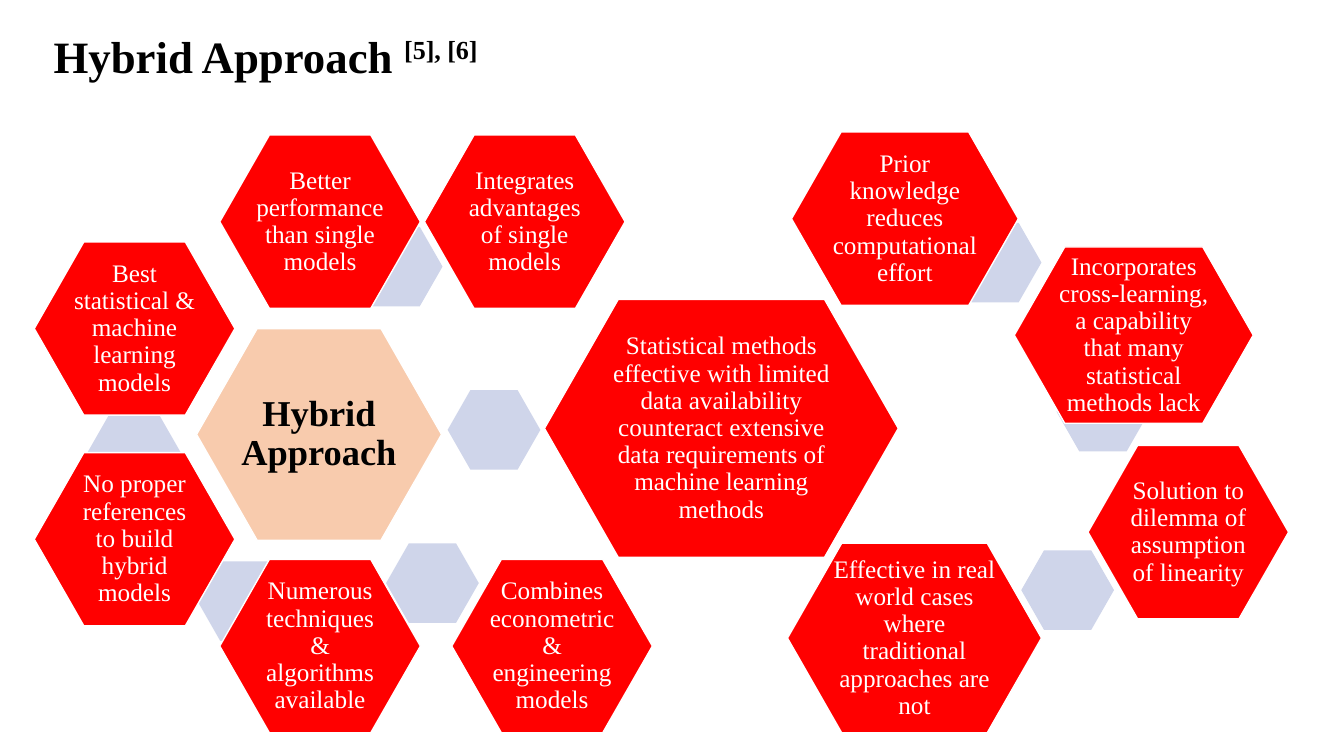
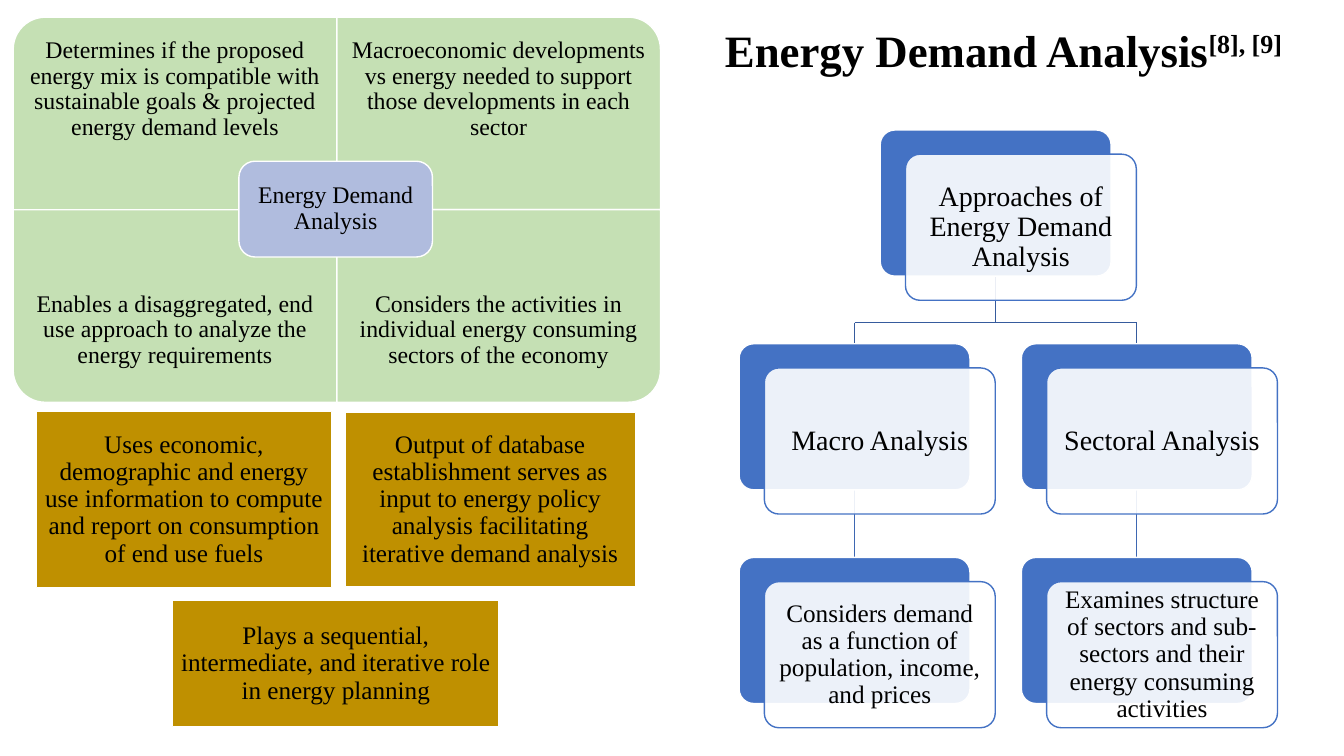
from dataclasses import dataclass

from pptx import Presentation
from pptx.dml.color import RGBColor
from pptx.enum.shapes import MSO_CONNECTOR, MSO_SHAPE as Shape
from pptx.enum.text import MSO_ANCHOR as Anchor, MSO_AUTO_SIZE, PP_ALIGN as Align
from pptx.oxml.ns import qn
from pptx.oxml.xmlchemy import OxmlElement
from pptx.util import Inches, Pt


@dataclass(frozen=True)
class Theme:
    font: str = "Times New Roman"
    black: str = "000000"
    white: str = "FFFFFF"
    red: str = "FF0000"
    peach: str = "F8CBAD"
    lavender: str = "CFD5EA"
    green: str = "C5E0B4"
    periwinkle: str = "B0BCDE"
    gold: str = "BF9000"
    blue: str = "4472C4"
    trunk_blue: str = "365B9D"
    branch_blue: str = "3E67B2"
    title_size: int = 32
    core_size: int = 26
    node_size: int = 20
    body_size: int = 18
    quadrant_size: int = 17
    line_width: int = 1


THEME = Theme()
rgb = RGBColor.from_string

deck = Presentation()
deck.slide_width, deck.slide_height = Inches(13.33), Inches(7.5)
# The grid has 100 columns and 100 rows; every box is (left, top, width, height) in it.
COL, ROW = deck.slide_width / 100, deck.slide_height / 100


def block(slide, preset, box, fill, outline=None, adjust=None, turn=0):
    """Add a filled shape whose box is the area it covers after a turn."""
    left, top, width, height = box[0] * COL, box[1] * ROW, box[2] * COL, box[3] * ROW
    if turn % 180:
        left, top = left + (width - height) / 2, top + (height - width) / 2
        width, height = height, width
    shape = slide.shapes.add_shape(preset, *map(round, (left, top, width, height)))
    shape.rotation = turn
    shape.shadow.inherit = False
    shape.fill.solid()
    shape.fill.fore_color.rgb = rgb(fill)
    if outline:
        shape.line.color.rgb = rgb(outline)
        shape.line.width = Pt(THEME.line_width)
    else:
        shape.line.fill.background()
    if adjust is not None:
        shape.adjustments[0] = adjust
    return shape


def write(shape, text, size, color=THEME.black, bold=False, inset=0.07):
    """Put one centred paragraph in the middle of a shape."""
    frame = shape.text_frame
    frame.word_wrap = True
    frame.vertical_anchor = Anchor.MIDDLE
    frame.margin_left = frame.margin_right = Inches(inset)
    frame.margin_top = frame.margin_bottom = Inches(inset)
    paragraph = frame.paragraphs[0]
    paragraph.alignment = Align.CENTER
    paragraph.line_spacing = 0.9
    run = paragraph.add_run()
    run.text = text
    run.font.name, run.font.size, run.font.bold = THEME.font, Pt(size), bold
    run.font.color.rgb = rgb(color)


# Slides and titles
slides = []
for heading, references, left, top, width in [
    ("Hybrid Approach ", "[5], [6]", 3.23, 3.07, 60),
    ("Energy Demand Analysis", "[8], [9]", 53.19, 2.27, 46),
]:
    slide = deck.slides.add_slide(deck.slide_layouts[5])
    title = slide.shapes.title
    title.left, title.top = round(left * COL), round(top * ROW)
    title.width, title.height = round(width * COL), round(8.53 * ROW)
    title.text_frame.auto_size = MSO_AUTO_SIZE.NONE
    title.text_frame.vertical_anchor = Anchor.MIDDLE
    paragraph = title.text_frame.paragraphs[0]
    paragraph.alignment = Align.LEFT
    for text, baseline in [(heading, 0), (references, 30000)]:
        run = paragraph.add_run()
        run.text = text
        run.font.name, run.font.size, run.font.bold = THEME.font, Pt(THEME.title_size), True
        run.font.color.rgb = rgb(THEME.black)
        if baseline:
            run.font._element.set("baseline", str(baseline))
    slides.append(slide)
hybrid, demand = slides

# Hybrid approach: accents behind, then the honeycomb
ACCENT = (6.9, 10.53)
CELL = (14.93, 22.93)
HEXAGON_CUT = 0.286

for corner in [(26.03, 30), (33.31, 51.6), (28.73, 71.87), (14.7, 74.27),
               (6.53, 54.53), (70.59, 29.47), (78.62, 49.2), (75.99, 72.8)]:
    block(hybrid, Shape.HEXAGON, corner + ACCENT, THEME.lavender, adjust=HEXAGON_CUT)

core = block(hybrid, Shape.HEXAGON, (14.63, 43.47, 18.23, 28), THEME.peach, THEME.white, HEXAGON_CUT)
write(core, "Hybrid Approach", THEME.core_size, bold=True, inset=0.04)

for corner, size, text in [
    ((16.35, 17.87), CELL, "Better performance than single models"),
    ((31.58, 17.87), CELL, "Integrates advantages of single models"),
    ((33.61, 74), CELL, "Combines econometric & engineering models"),
    ((16.35, 74), CELL, "Numerous techniques & algorithms available"),
    ((2.55, 59.87), CELL, "No proper references to build hybrid models"),
    ((2.55, 32), CELL, "Best statistical & machine learning models"),
    ((40.51, 39.6), (26.33, 34.13),
     "Statistical methods effective with limited data availability counteract "
     "extensive data requirements of machine learning methods"),
    ((58.89, 17.47), (16.88, 22.93), "Prior knowledge reduces computational effort"),
    ((75.47, 32.67), (17.78, 23.33),
     "Incorporates cross-learning, a capability that many statistical methods lack"),
    ((80.95, 58.93), CELL, "Solution to dilemma of assumption of linearity"),
    ((58.59, 71.87), (18.9, 25.07),
     "Effective in real world cases where traditional approaches are not"),
]:
    cell = block(hybrid, Shape.HEXAGON, corner + size, THEME.red, THEME.white, HEXAGON_CUT)
    write(cell, text, THEME.body_size, THEME.white, inset=0.03)

# Energy demand analysis: four quadrants around a hub
MATRIX_LEFT, MATRIX_TOP = 0.98, 2.27
QUAD_W, QUAD_H = 24.08, 25.47
LABEL_H = QUAD_H * 3 / 4

for col, row, turn, text in [
    (0, 0, 270, "Determines if the proposed energy mix is compatible with "
                "sustainable goals & projected energy demand levels"),
    (1, 0, 0, "Macroeconomic developments vs energy needed to support "
              "those developments in each sector"),
    (0, 1, 180, "Enables a disaggregated, end use approach to analyze the energy requirements"),
    (1, 1, 90, "Considers the activities in individual energy consuming sectors of the economy"),
]:
    left, top = MATRIX_LEFT + col * QUAD_W, MATRIX_TOP + row * QUAD_H
    block(demand, Shape.ROUND_1_RECTANGLE, (left, top, QUAD_W, QUAD_H),
          THEME.green, THEME.white, turn=turn)
    label_top = top + row * (QUAD_H - LABEL_H)
    label = demand.shapes.add_textbox(round(left * COL), round(label_top * ROW),
                                      round(QUAD_W * COL), round(LABEL_H * ROW))
    write(label, text, THEME.quadrant_size, inset=0.13)

hub = block(demand, Shape.ROUNDED_RECTANGLE, (17.78, 21.33, 14.4, 12.67),
            THEME.periwinkle, THEME.white)
write(hub, "Energy Demand Analysis", THEME.quadrant_size)

# Gold notes below the quadrants
for box, text in [
    ((2.7, 54.4, 21.98, 23.33), "Uses economic, demographic and energy use information "
                                "to compute and report on consumption of end use fuels"),
    ((25.66, 54.53, 21.61, 23.07), "Output of database establishment serves as input to "
                                   "energy policy analysis facilitating iterative demand analysis"),
    ((12.83, 79.47, 24.31, 16.67), "Plays a sequential, intermediate, and iterative role "
                                   "in energy planning"),
]:
    note = block(demand, Shape.RECTANGLE, box, THEME.gold, THEME.white)
    write(note, text, THEME.body_size)

# Tree of approaches: lines first, cards over them
TREE_LEFT, TREE_TOP = 54.99, 17.2
BRANCH_STEP, LEVEL_STEP = 21, 28.27
CARD_W, CARD_H = 17.18, 19.33
SHIFT_X, SHIFT_Y = 1.88, 3.2
BEND = 42.67

left_axis, root_axis, right_axis = [TREE_LEFT + CARD_W / 2 + BRANCH_STEP * branch
                                    for branch in (0, 0.5, 1)]
root_foot, branch_foot = [TREE_TOP + CARD_H + LEVEL_STEP * level for level in (0, 1)]
branch_head, leaf_head = [TREE_TOP + LEVEL_STEP * level for level in (1, 2)]

for x1, y1, x2, y2, color in [
    (root_axis, root_foot, root_axis, BEND, THEME.trunk_blue),
    (left_axis, BEND, right_axis, BEND, THEME.trunk_blue),
    (left_axis, BEND, left_axis, branch_head, THEME.trunk_blue),
    (right_axis, BEND, right_axis, branch_head, THEME.trunk_blue),
    (left_axis, branch_foot, left_axis, leaf_head, THEME.branch_blue),
    (right_axis, branch_foot, right_axis, leaf_head, THEME.branch_blue),
]:
    link = demand.shapes.add_connector(MSO_CONNECTOR.STRAIGHT, round(x1 * COL), round(y1 * ROW),
                                       round(x2 * COL), round(y2 * ROW))
    link.line.color.rgb = rgb(color)
    link.line.width = Pt(THEME.line_width)
    link._element.spPr.append(OxmlElement("a:effectLst"))

for branch, level, size, text in [
    (0.5, 0, THEME.node_size, "Approaches of Energy Demand Analysis"),
    (0, 1, THEME.node_size, "Macro Analysis"),
    (0, 2, THEME.body_size, "Considers demand as a function of population, income, and prices"),
    (1, 1, THEME.node_size, "Sectoral Analysis"),
    (1, 2, THEME.body_size, "Examines structure of sectors and sub-sectors and their "
                            "energy consuming activities"),
]:
    left, top = TREE_LEFT + branch * BRANCH_STEP, TREE_TOP + level * LEVEL_STEP
    block(demand, Shape.ROUNDED_RECTANGLE, (left, top, CARD_W, CARD_H),
          THEME.blue, THEME.white, 0.1)
    card = block(demand, Shape.ROUNDED_RECTANGLE, (left + SHIFT_X, top + SHIFT_Y, CARD_W, CARD_H),
                 THEME.white, THEME.blue, 0.1)
    opacity = OxmlElement("a:alpha")
    opacity.set("val", "90000")
    card._element.spPr.find(qn("a:solidFill"))[0].append(opacity)
    write(card, text, size, inset=0.08 if size == THEME.node_size else 0.07)

deck.save("out.pptx")
